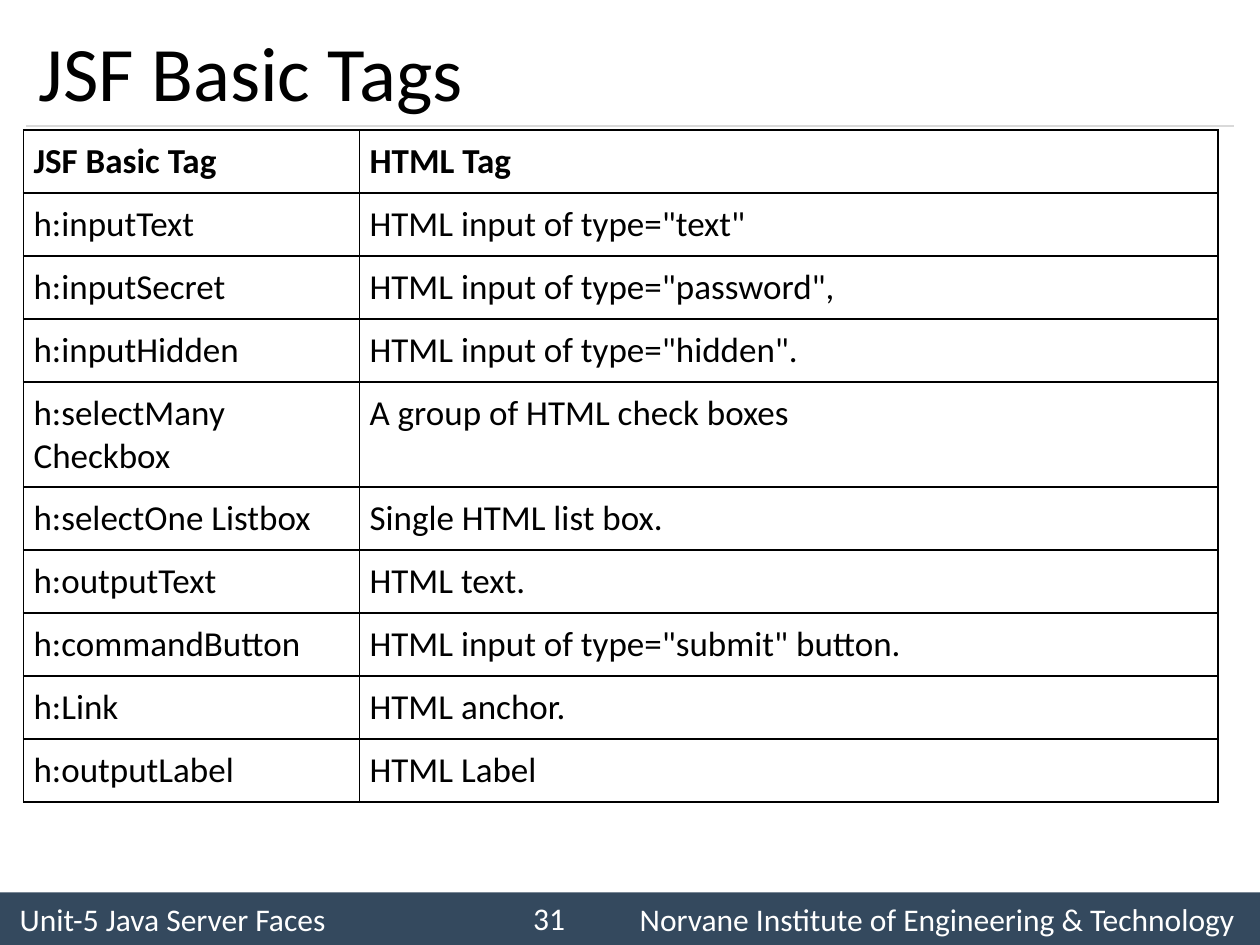
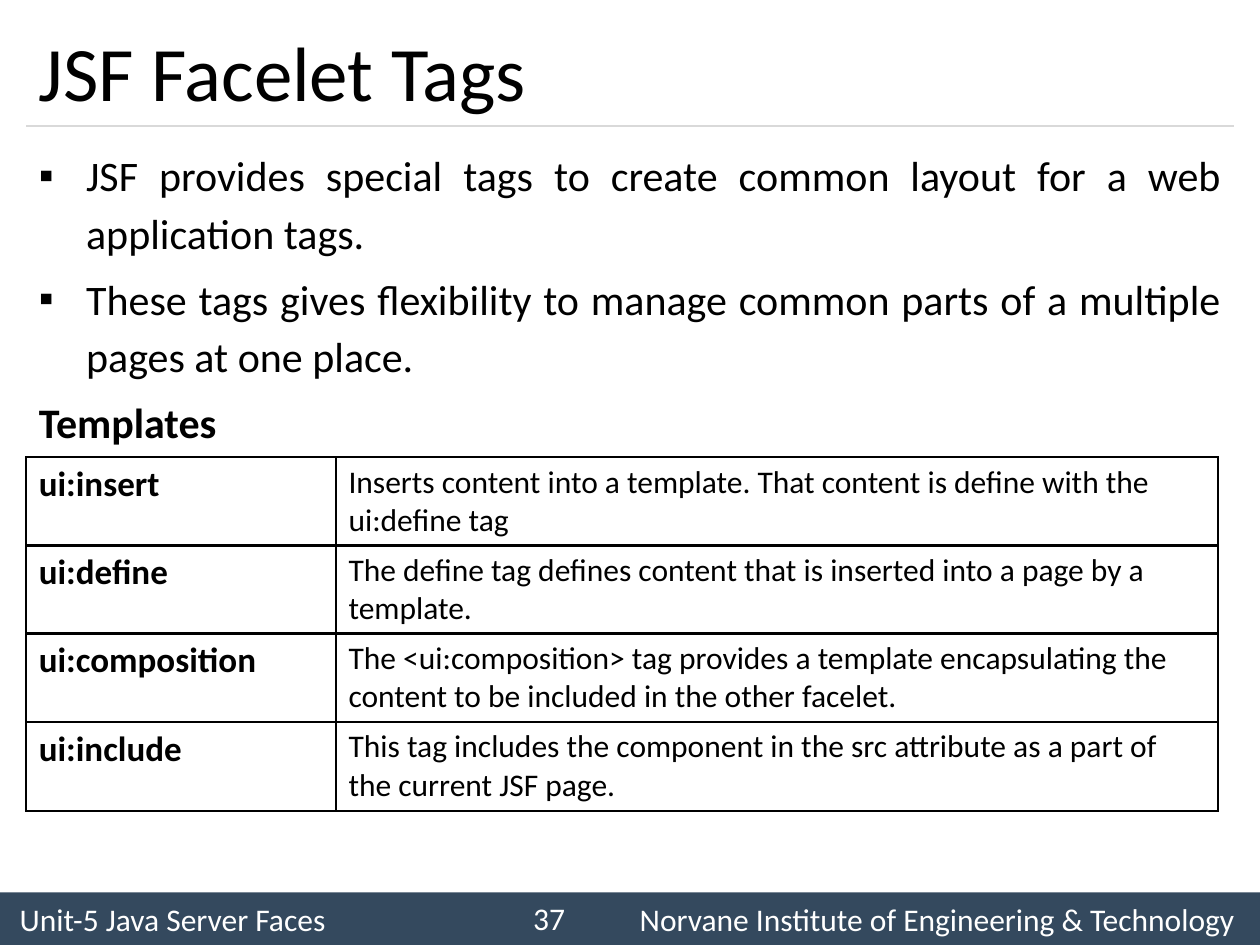
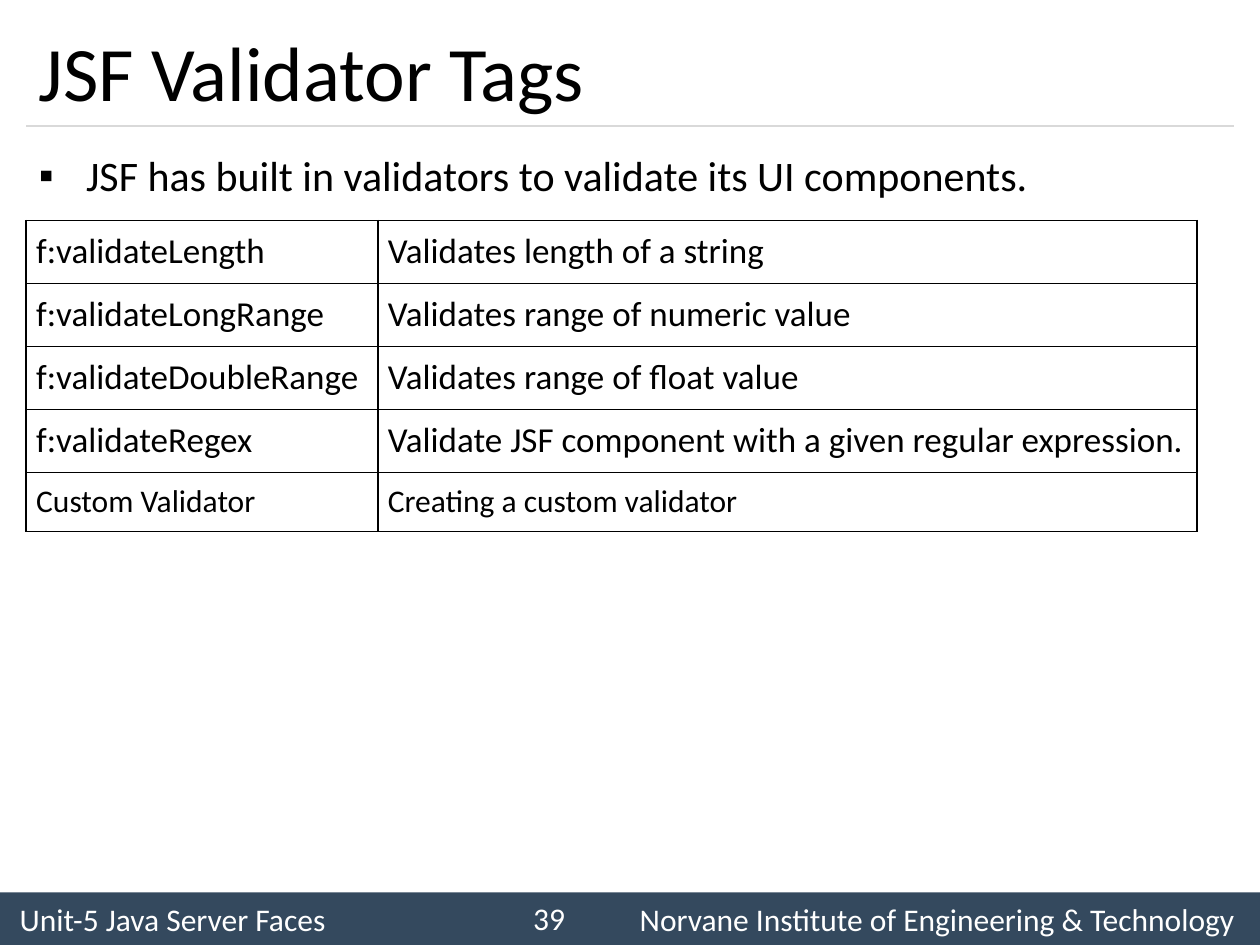
import dataclasses

import pptx
import pptx.dml.color
import pptx.enum.shapes
import pptx.enum.text
import pptx.oxml
import pptx.oxml.ns
import pptx.util

# The slide is a grid of 48 columns and 36 rows of square units.
WIDTH, HEIGHT = pptx.util.Inches(10), pptx.util.Inches(7.5)
UNIT = WIDTH / 48

FONT = "Calibri"
BLACK, WHITE, BAND, RULE = "000000", "FFFFFF", "34495E", "D9D9D9"
UNIT_NAME = "Unit-5 Java Server Faces"
INSTITUTE = "Norvane Institute of Engineering & Technology"

TITLE_BOX = (1, 0.6, 46, 4.2)
BODY_BOX = (1, 5.2, 46, 28)
BAND_BOX = (0, 34, 48, 2)
NUMBER_BOX = (18.8, 34, 3.2, 1.92)
ROW = 2.4
BULLET_INDENT = 1.8

MIDDLE = pptx.enum.text.MSO_ANCHOR.MIDDLE
ALIGN = pptx.enum.text.PP_ALIGN


@dataclasses.dataclass
class TagRow:
    """One row of a tag table: height in grid rows, size and bold per cell."""
    tag: str
    meaning: str
    height: float = ROW
    sizes: tuple = (20, 20)
    bold: tuple = (False, False)


def units(n):
    return pptx.util.Emu(round(n * UNIT))


def box_units(box):
    return [units(n) for n in box]


def color(hex_string):
    return pptx.dml.color.RGBColor.from_string(hex_string)


def add_xml(parent, xml, index=None):
    ns = pptx.oxml.ns.nsdecls("a")
    el = pptx.oxml.parse_xml(xml.replace(" ", f" {ns} ", 1))
    parent.insert(len(parent) if index is None else index, el)


def style_runs(p, size, hex_color=BLACK, bold=False):
    for r in p.runs:
        r.font.name = FONT
        r.font.size = pptx.util.Pt(size)
        r.font.bold = bold
        r.font.color.rgb = color(hex_color)


def place(sp, box):
    sp.left, sp.top, sp.width, sp.height = box_units(box)
    sp.text_frame.auto_size = pptx.enum.text.MSO_AUTO_SIZE.NONE
    sp.text_frame.word_wrap = True


def add_title(slide, text):
    sp = slide.shapes.title
    place(sp, TITLE_BOX)
    tf = sp.text_frame
    tf.text = text
    tf.vertical_anchor = MIDDLE
    p = tf.paragraphs[0]
    p.alignment = ALIGN.LEFT
    style_runs(p, 44)

    left, top, width, height = TITLE_BOX
    y = units(top + height)
    line = slide.shapes.add_connector(
        pptx.enum.shapes.MSO_CONNECTOR.STRAIGHT,
        units(left), y, units(left + width), y)
    line.line.color.rgb = color(RULE)
    line.line.width = pptx.util.Pt(0.75)
    add_xml(line._element.spPr, "<a:effectLst />")


def add_footer(slide, number):
    band = slide.shapes.add_shape(
        pptx.enum.shapes.MSO_SHAPE.RECTANGLE, *box_units(BAND_BOX))
    band.shadow.inherit = False
    band.fill.solid()
    band.fill.fore_color.rgb = color(BAND)
    band.line.fill.background()
    tf = band.text_frame
    margin = 0.75
    tf.margin_left, tf.margin_right = units(margin), units(margin)
    tf.vertical_anchor = MIDDLE
    tf.text = f"{UNIT_NAME}\t{INSTITUTE}"
    p = tf.paragraphs[0]
    p.alignment = ALIGN.LEFT
    stop = units(BAND_BOX[2] - 2 * margin - 0.2)
    add_xml(p._p.get_or_add_pPr(),
            f'<a:tabLst ><a:tab pos="{stop}" algn="r"/></a:tabLst>')
    style_runs(p, 18, WHITE)

    sp = slide.shapes.add_textbox(*box_units(NUMBER_BOX))
    place(sp, NUMBER_BOX)
    tf = sp.text_frame
    tf.vertical_anchor = MIDDLE
    tf.text = str(number)
    p = tf.paragraphs[0]
    p.alignment = ALIGN.RIGHT
    style_runs(p, 18, WHITE)


def add_body(slide, bullets, heading=None):
    """Fill the body with bullets, then an unbulleted bold heading."""
    sp = slide.placeholders[1]
    place(sp, BODY_BOX)
    tf = sp.text_frame
    tf.text = "\n".join(bullets + ([heading] if heading else []))
    for i, p in enumerate(tf.paragraphs):
        is_bullet = i < len(bullets)
        indent = units(BULLET_INDENT) if is_bullet else 0
        p.alignment = ALIGN.JUSTIFY
        p.line_spacing = 1.14
        pPr = p._p.get_or_add_pPr()
        pPr.set("marL", str(indent))
        pPr.set("indent", str(-indent))
        add_xml(pPr, '<a:buChar char="▪"/>' if is_bullet else "<a:buNone />")
        style_runs(p, 24, bold=not is_bullet)


def fill_cell(cell, text, size, bold, inset):
    cell.text = text
    style_runs(cell.text_frame.paragraphs[0], size, bold=bold)
    if inset is not None:
        cell.margin_left = cell.margin_right = units(inset)
        cell.margin_top = cell.margin_bottom = units(inset)
    cell.fill.background()
    tcPr = cell._tc.get_or_add_tcPr()
    for i, side in enumerate("LRTB"):
        add_xml(tcPr, f'<a:ln{side} w="{pptx.util.Pt(1)}"><a:solidFill>'
                      f'<a:srgbClr val="{BLACK}"/></a:solidFill></a:ln{side}>', i)


def stack_rows(slide, left, top, columns, rows, inset=None):
    """Stack one-row tables downwards from left, top."""
    for row in rows:
        frame = slide.shapes.add_table(
            1, 2, *box_units((left, top, sum(columns), row.height)))
        table = frame.table
        table.first_row = table.horz_banding = False
        for column, width in zip(table.columns, columns):
            column.width = units(width)
        texts = (row.tag, row.meaning)
        for cell, text, size, bold in zip(
                table.rows[0].cells, texts, row.sizes, row.bold):
            fill_cell(cell, text, size, bold, inset)
        top += row.height


def add_slide(prs, title, number, bullets=None, heading=None):
    slide = prs.slides.add_slide(prs.slide_layouts[1 if bullets else 5])
    add_title(slide, title)
    if bullets:
        add_body(slide, bullets, heading)
    add_footer(slide, number)
    return slide


def add_basic_tags(prs):
    slide = add_slide(prs, "JSF Basic Tags", 31)
    rows = [
        TagRow("JSF Basic Tag", "HTML Tag", bold=(True, True)),
        TagRow("h:inputText", 'HTML input of type="text"'),
        TagRow("h:inputSecret", 'HTML input of type="password",'),
        TagRow("h:inputHidden", 'HTML input of type="hidden".'),
        TagRow("h:selectMany Checkbox", "A group of HTML check boxes", height=4),
        TagRow("h:selectOne Listbox", "Single HTML list box."),
        TagRow("h:outputText", "HTML text."),
        TagRow("h:commandButton", 'HTML input of type="submit" button.'),
        TagRow("h:Link", "HTML anchor."),
        TagRow("h:outputLabel", "HTML Label"),
    ]
    stack_rows(slide, 0.9, 4.95, (12.8, 32.7), rows, inset=0.38)


def add_facelet_tags(prs):
    slide = add_slide(
        prs, "JSF Facelet Tags", 37,
        ["JSF provides special tags to create common layout for a web "
         "application tags.",
         "These tags gives flexibility to manage common parts of a multiple "
         "pages at one place."],
        heading="Templates")
    templates = {
        "ui:insert": "Inserts content into a template. That content is define "
                     "with the ui:define tag",
        "ui:define": "The define tag defines content that is inserted into a "
                     "page by a template.",
        "ui:composition": "The <ui:composition> tag provides a template "
                          "encapsulating the content to be included in the "
                          "other facelet.",
        "ui:include": "This tag includes the component in the src attribute "
                      "as a part of the current JSF page.",
    }
    rows = [TagRow(tag, meaning, 3.36, (20, 18), (True, False))
            for tag, meaning in templates.items()]
    stack_rows(slide, 1, 17.4, (11.8, 33.6), rows)


def add_validator_tags(prs):
    slide = add_slide(
        prs, "JSF Validator Tags", 39,
        ["JSF has built in validators to validate its UI components."])
    rows = [
        TagRow("f:validateLength", "Validates length of a string"),
        TagRow("f:validateLongRange", "Validates range of numeric value"),
        TagRow("f:validateDoubleRange", "Validates range of float value"),
        TagRow("f:validateRegex",
               "Validate JSF component with a given regular expression."),
        TagRow("Custom Validator", "Creating a custom validator",
               height=2.25, sizes=(18, 18)),
    ]
    stack_rows(slide, 1, 8.4, (13.4, 31.2), rows, inset=0.38)


def main():
    prs = pptx.Presentation()
    prs.slide_width, prs.slide_height = WIDTH, HEIGHT
    add_basic_tags(prs)
    add_facelet_tags(prs)
    add_validator_tags(prs)
    prs.save("out.pptx")


if __name__ == "__main__":
    main()
